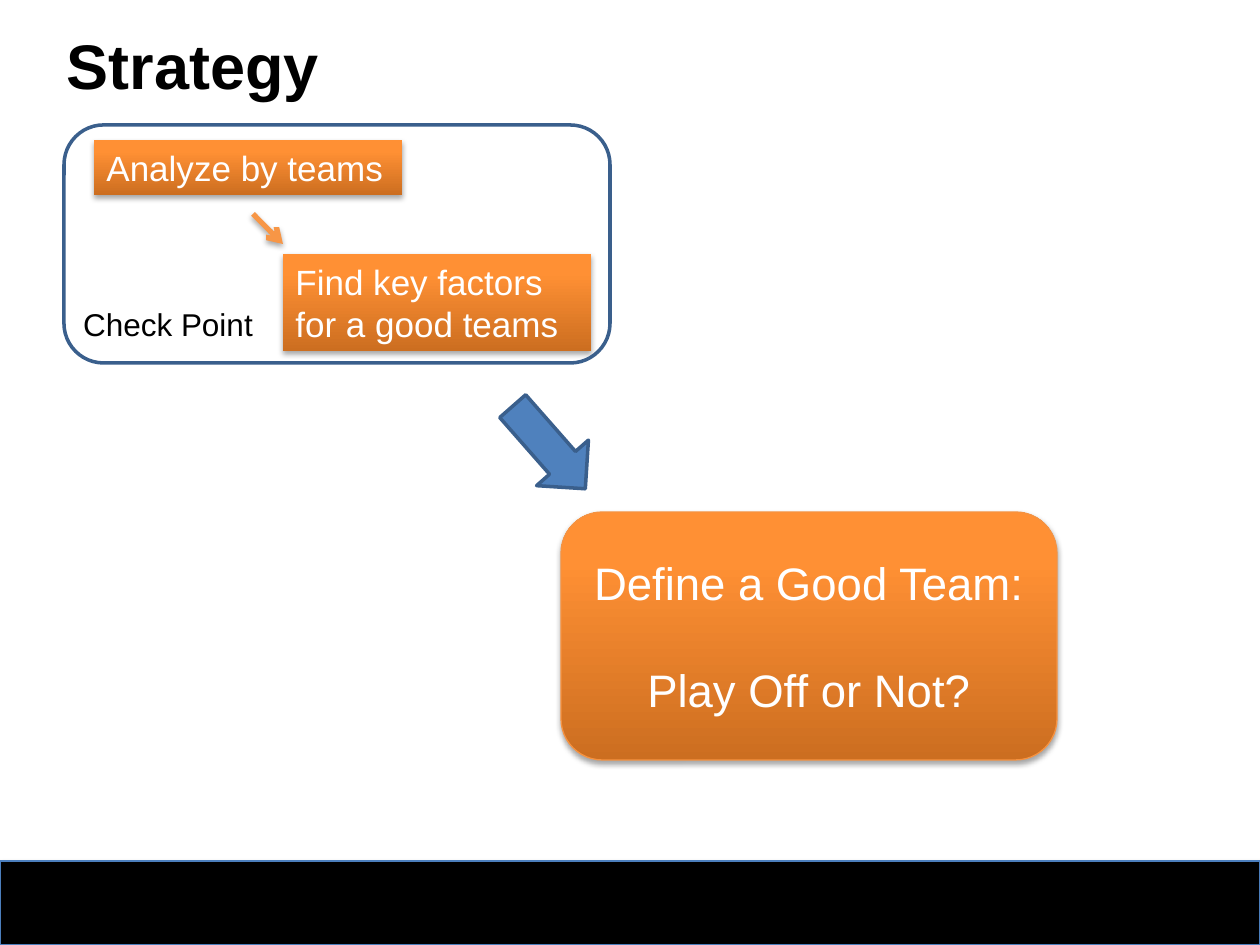
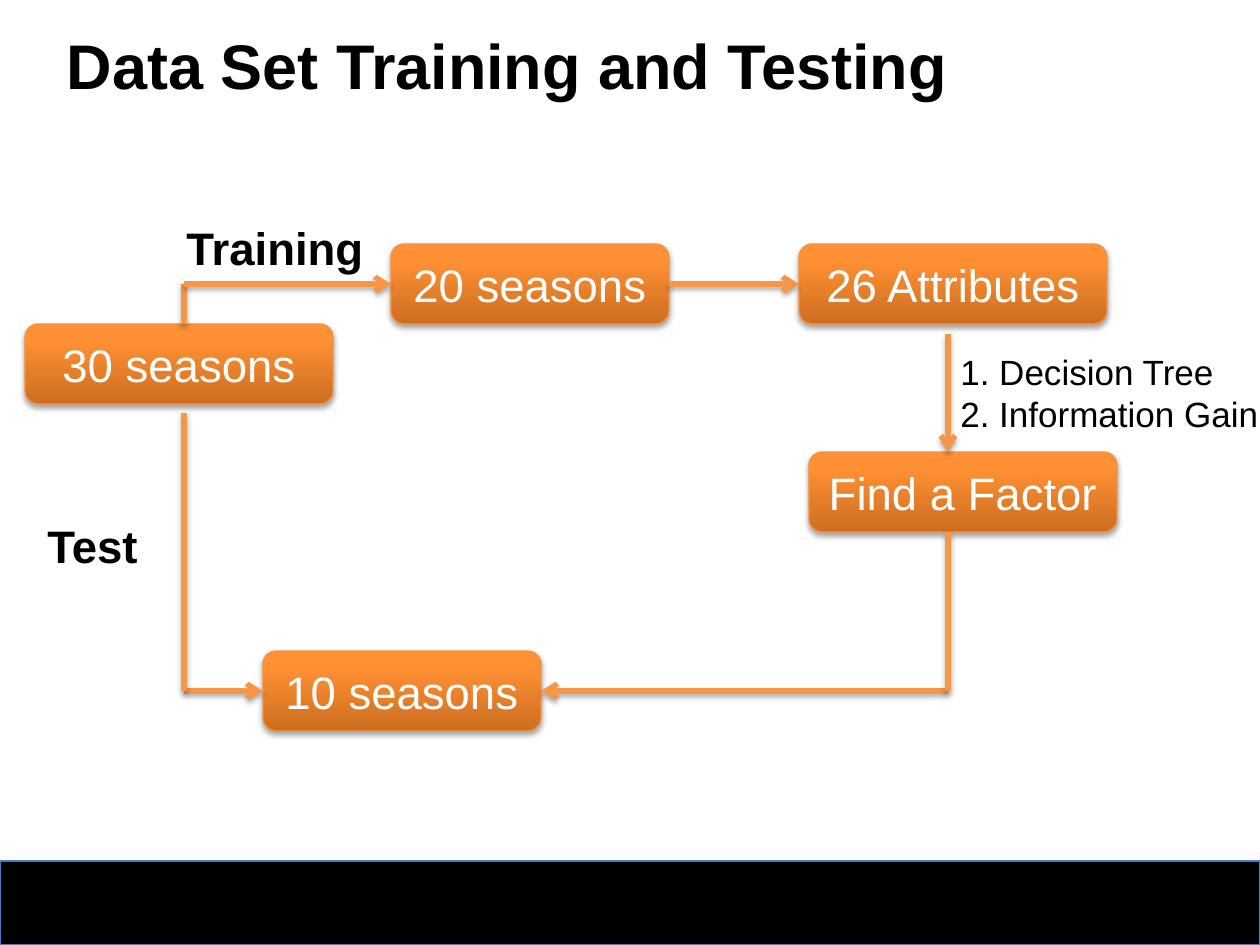
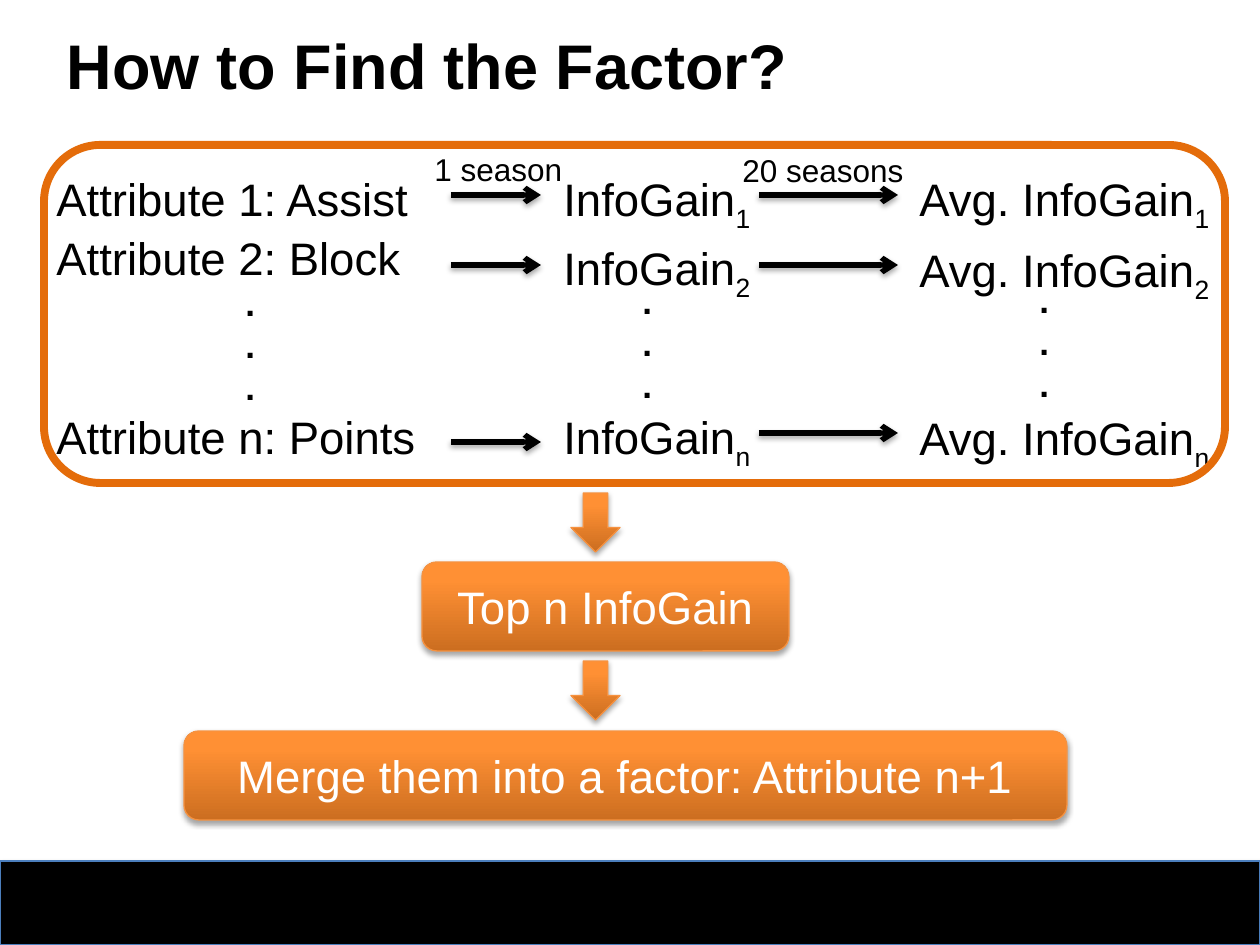
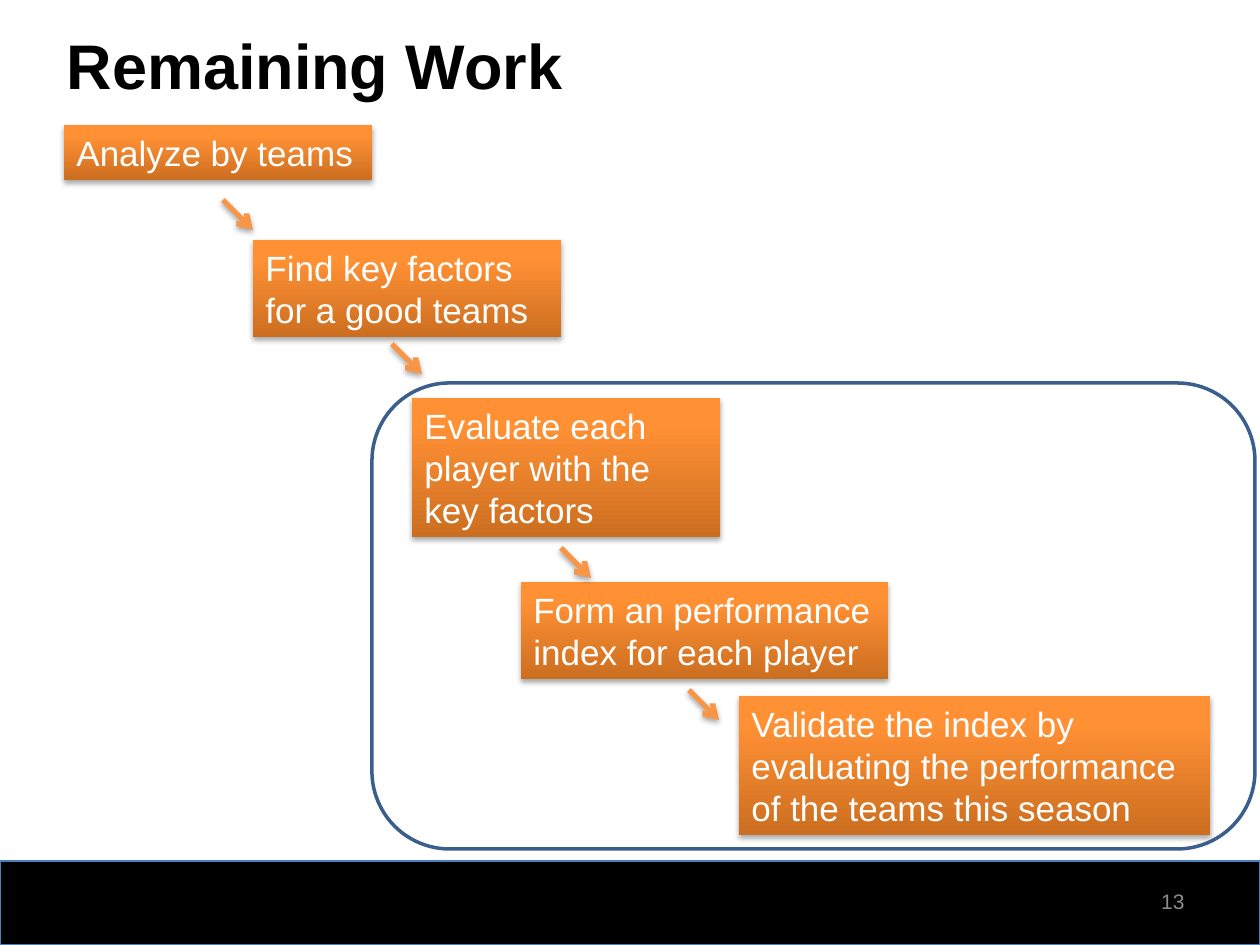
"""Build four slides on team strategy, training data, factor search and remaining work."""
from copy import deepcopy
from dataclasses import dataclass

from lxml.etree import SubElement
from pptx import Presentation
from pptx.dml.color import RGBColor
from pptx.enum.shapes import MSO_CONNECTOR, MSO_SHAPE
from pptx.enum.text import MSO_ANCHOR, MSO_AUTO_SIZE, PP_ALIGN
from pptx.oxml.ns import qn
from pptx.util import Emu, Pt


@dataclass(frozen=True)
class Theme:
    font: str = "Arial"
    ink: str = "000000"
    paper: str = "FFFFFF"
    muted: str = "8C8C8C"
    band_line: str = "4B7EBC"
    blue: str = "4F81BD"
    blue_line: str = "3A5F8C"
    orange: str = "F79646"
    orange_edge: str = "F69240"
    orange_frame: str = "E46C0A"
    gradient: tuple = ((0, "CC6E20"), (0.8, "FF9034"), (1, "FF9136"))
    title: int = 36
    large: int = 26
    medium: int = 20
    small: int = 18
    tiny: int = 12


THEME = Theme()
EMU_PER_PX = 914400 / 126
WIDTH, HEIGHT = 1260, 945
BAND = (0, 861, WIDTH, 84)
TITLE_LEFT, TITLE_TOP, TITLE_HEIGHT = 54, 16, 96
CARD_LINE, CARD_PADDING = 42, 13
STEP_ARROW = 30
LABEL_HEIGHT = {THEME.large: 68, THEME.small: 50}

STRATEGY = {
    "title": ("Strategy", 466),
    "cards": [("Analyze by teams", 94, 140, 308, 1),
              ("Find key factors for a good teams", 283, 254, 308, 2)],
    "arrows": [(253, 214)],
    "frame": (64, 125, 546, 238),
    "check": ("Check Point", (54, 294, 228, 59)),
    "big_arrow": ((494, 413, 110, 69), 48.7),
    "goal": (["Define a Good Team:", "Play Off or Not?"], (561, 512, 496, 248)),
}

TRAINING = {
    "title": ("Data Set Training and Testing", 922),
    "boxes": [("30 seasons", 25, 324, 308), ("10 seasons", 263, 651, 278),
              ("20 seasons", 391, 244, 278), ("26 Attributes", 799, 244, 308),
              ("Find a Factor", 809, 452, 308)],
    "box_height": 80,
    "lines": [((184, 324), (184, 284), False), ((184, 284), (391, 284), True),
              ((184, 691), (263, 691), True), ((184, 691), (184, 413), False),
              ((669, 284), (799, 284), True), ((948, 334), (948, 452), True),
              ((948, 691), (541, 691), True), ((948, 691), (948, 532), False)],
    "joins": [(1, "20 seasons", None), (2, "10 seasons", None),
              (4, "26 Attributes", "20 seasons")],
    "headings": [("Training", (174, 214, 228, 68)), ("Test", (35, 512, 139, 68))],
    "methods": (["1. Decision Tree", "2. Information Gain"], (948, 344, 338, 97)),
}

FACTOR = {
    "title": ("How to Find the Factor?", 804),
    "columns": [
        (44, 387, [("Attribute 1: Assist", 165), ("Attribute 2: Block", 224),
                   ("Attribute n: Points", 403)]),
        (551, 258, [(("InfoGain", "1"), 165), (("InfoGain", "2"), 234),
                    (("InfoGain", "n"), 403)]),
        (907, 353, [(("Avg. InfoGain", "1"), 165), (("Avg. InfoGain", "2"), 236),
                    (("Avg. InfoGain", "n"), 404)]),
    ],
    "dots": [(233, 275), (630, 273), (1027, 272)],
    "arrows": [(451, 541, (195, 265, 442)), (759, 898, (195, 265, 433))],
    "spans": [("1 season", 422, 144, 159), ("20 seasons", 730, 145, 208)],
    "frame": (44, 145, 1181, 338),
    "down_arrows": [(571, 493, 49, 59), (571, 661, 49, 59)],
    "results": [("Top n InfoGain", (422, 562, 367, 89)),
                ("Merge them into a factor: Attribute n+1", (184, 731, 883, 89))],
}

REMAINING = {
    "title": ("Remaining Work", 804),
    "number": ("13", (903, 876, 294, 50)),
    "cards": [("Analyze by teams", 64, 125, 308, 1),
              ("Find key factors for a good teams", 253, 240, 308, 2),
              ("Evaluate each player with the key factors", 412, 398, 308, 3),
              ("Form an performance index for each player", 521, 582, 367, 2),
              ("Validate the index by evaluating the performance of the teams this season",
               739, 696, 471, 3)],
    "arrows": [(223, 200), (392, 344), (561, 548), (689, 690)],
    "frame": (372, 383, 883, 466),
}


def px(value):
    return Emu(round(value * EMU_PER_PX))


def color(code):
    return RGBColor.from_string(code)


def write(shape, paragraphs, size=THEME.large, ink=THEME.ink, bold=False,
          align=PP_ALIGN.LEFT, anchor=MSO_ANCHOR.TOP, grow=False, gap=0):
    """Fill a shape with paragraphs, each a string or a (base, subscript) pair."""
    frame = shape.text_frame
    frame.word_wrap = True
    frame.auto_size = MSO_AUTO_SIZE.SHAPE_TO_FIT_TEXT if grow else MSO_AUTO_SIZE.NONE
    frame.vertical_anchor = anchor
    if isinstance(paragraphs, str):
        paragraphs = [paragraphs]
    for index, content in enumerate(paragraphs):
        paragraph = frame.paragraphs[0] if index == 0 else frame.add_paragraph()
        paragraph.alignment = align
        if index and gap:
            paragraph.space_before = Pt(gap)
        parts = (content,) if isinstance(content, str) else content
        for position, part in enumerate(parts):
            run = paragraph.add_run()
            run.text = part
            run.font.name = THEME.font
            run.font.size = Pt(size)
            run.font.bold = bold
            run.font.color.rgb = color(ink)
            if position:
                run._r.get_or_add_rPr().set("baseline", "-25000")


def add_shadow(shape):
    properties = shape.element.spPr
    effects = properties.find(qn("a:effectLst"))
    if effects is None:
        effects = SubElement(properties, qn("a:effectLst"))
    shadow = SubElement(effects, qn("a:outerShdw"), blurRad="40000", dist="23000",
                        dir="5400000", rotWithShape="0")
    black = SubElement(shadow, qn("a:srgbClr"), val=THEME.ink)
    SubElement(black, qn("a:alpha"), val="35000")


def fill_gradient(shape):
    shape.fill.gradient()
    shape.fill.gradient_angle = 90
    stop_list = shape.element.spPr.find(".//" + qn("a:gsLst"))
    stop_list.append(deepcopy(stop_list[0]))
    for stop, (position, code) in zip(shape.fill.gradient_stops, THEME.gradient):
        stop.position = position
        stop.color.rgb = color(code)


def add_box(slide, kind, area, fill=None, line=None, weight=0.75, shadow=False):
    shape = slide.shapes.add_shape(kind, *map(px, area))
    shape.shadow.inherit = False
    if fill == "gradient":
        fill_gradient(shape)
    elif fill:
        shape.fill.solid()
        shape.fill.fore_color.rgb = color(fill)
    else:
        shape.fill.background()
    if line:
        shape.line.color.rgb = color(line)
        shape.line.width = Pt(weight)
    else:
        shape.line.fill.background()
    if shadow:
        add_shadow(shape)
    return shape


def add_orange(slide, kind, area, paragraphs=None, **text_format):
    shape = add_box(slide, kind, area, "gradient", THEME.orange_edge, shadow=True)
    if paragraphs:
        write(shape, paragraphs, ink=THEME.paper, align=PP_ALIGN.CENTER,
              anchor=MSO_ANCHOR.MIDDLE, **text_format)
    return shape


def add_label(slide, paragraphs, area, **text_format):
    write(slide.shapes.add_textbox(*map(px, area)), paragraphs, **text_format)


def add_line(slide, start, end, stroke=THEME.orange, arrow=True):
    connector = slide.shapes.add_connector(MSO_CONNECTOR.STRAIGHT, *map(px, start + end))
    connector.line.color.rgb = color(stroke)
    connector.line.width = Pt(3)
    if arrow:
        SubElement(connector.line._get_or_add_ln(), qn("a:tailEnd"), type="arrow")
    add_shadow(connector)
    return connector


def add_steps(slide, content):
    for text, left, top, width, lines in content["cards"]:
        area = (left, top, width, CARD_PADDING + CARD_LINE * lines)
        card = add_box(slide, MSO_SHAPE.RECTANGLE, area, "gradient", shadow=True)
        write(card, text, size=THEME.medium, ink=THEME.paper, grow=True)
    for left, top in content["arrows"]:
        add_line(slide, (left, top), (left + STEP_ARROW, top + STEP_ARROW))
    add_box(slide, MSO_SHAPE.ROUNDED_RECTANGLE, content["frame"],
            line=THEME.blue_line, weight=2)


def add_slide(presentation, layout, content):
    slide = presentation.slides.add_slide(layout)
    text, width = content["title"]
    title = slide.shapes.title
    title.left, title.top = px(TITLE_LEFT), px(TITLE_TOP)
    title.width, title.height = px(width), px(TITLE_HEIGHT)
    write(title, text, size=THEME.title, bold=True, anchor=MSO_ANCHOR.MIDDLE)
    return slide


def add_band(slide, layout):
    """Move a footer band into the layout, behind its placeholders."""
    band = add_box(slide, MSO_SHAPE.RECTANGLE, BAND, THEME.ink, THEME.band_line, shadow=True)
    band.element.nvSpPr.cNvPr.id = 20
    layout.shapes.element.insert(2, band.element)


def build_strategy(slide):
    add_steps(slide, STRATEGY)
    text, area = STRATEGY["check"]
    check = add_box(slide, MSO_SHAPE.ROUNDED_RECTANGLE, area)
    write(check, text, size=THEME.small, align=PP_ALIGN.CENTER, anchor=MSO_ANCHOR.MIDDLE)
    area, angle = STRATEGY["big_arrow"]
    arrow = add_box(slide, MSO_SHAPE.RIGHT_ARROW, area, THEME.blue, THEME.blue_line, 2)
    arrow.rotation = angle
    paragraphs, area = STRATEGY["goal"]
    add_orange(slide, MSO_SHAPE.ROUNDED_RECTANGLE, area, paragraphs, gap=30)


def build_training(slide):
    boxes = {}
    for text, left, top, width in TRAINING["boxes"]:
        area = (left, top, width, TRAINING["box_height"])
        boxes[text] = add_orange(slide, MSO_SHAPE.ROUNDED_RECTANGLE, area, text)
    lines = [add_line(slide, start, end, arrow=arrow)
             for start, end, arrow in TRAINING["lines"]]
    for index, target, source in TRAINING["joins"]:
        lines[index].end_connect(boxes[target], 1)
        if source:
            lines[index].begin_connect(boxes[source], 3)
    lines[6].end_connect(boxes["10 seasons"], 3)
    for text, area in TRAINING["headings"]:
        add_label(slide, text, area, bold=True, grow=True)
    paragraphs, area = TRAINING["methods"]
    add_label(slide, paragraphs, area, size=THEME.medium, grow=True)


def build_factor(slide):
    for left, width, rows in FACTOR["columns"]:
        for content, top in rows:
            add_label(slide, [content], (left, top, width, LABEL_HEIGHT[THEME.large]),
                      grow=True)
    for left, top in FACTOR["dots"]:
        add_label(slide, ["."] * 3, (left, top, 49, 140), size=THEME.medium,
                  bold=True, grow=True)
    for start, end, tops in FACTOR["arrows"]:
        for top in tops:
            add_line(slide, (start, top), (end, top), stroke=THEME.ink)
    add_box(slide, MSO_SHAPE.ROUNDED_RECTANGLE, FACTOR["frame"],
            line=THEME.orange_frame, weight=4.5)
    for area in FACTOR["down_arrows"]:
        add_orange(slide, MSO_SHAPE.DOWN_ARROW, area)
    for text, area in FACTOR["results"]:
        add_orange(slide, MSO_SHAPE.ROUNDED_RECTANGLE, area, text)
    for text, left, top, width in FACTOR["spans"]:
        add_label(slide, text, (left, top, width, LABEL_HEIGHT[THEME.small]),
                  size=THEME.small, grow=True)


def build_remaining(slide):
    text, area = REMAINING["number"]
    add_label(slide, text, area, size=THEME.tiny, ink=THEME.muted,
              align=PP_ALIGN.RIGHT, anchor=MSO_ANCHOR.MIDDLE)
    add_steps(slide, REMAINING)


def main():
    presentation = Presentation()
    presentation.slide_width, presentation.slide_height = px(WIDTH), px(HEIGHT)
    layout = presentation.slide_layouts.get_by_name("Title Only")
    pages = [(STRATEGY, build_strategy), (TRAINING, build_training),
             (FACTOR, build_factor), (REMAINING, build_remaining)]
    for index, (content, build) in enumerate(pages):
        slide = add_slide(presentation, layout, content)
        if index == 0:
            add_band(slide, layout)
        build(slide)
    presentation.save("out.pptx")


if __name__ == "__main__":
    main()
